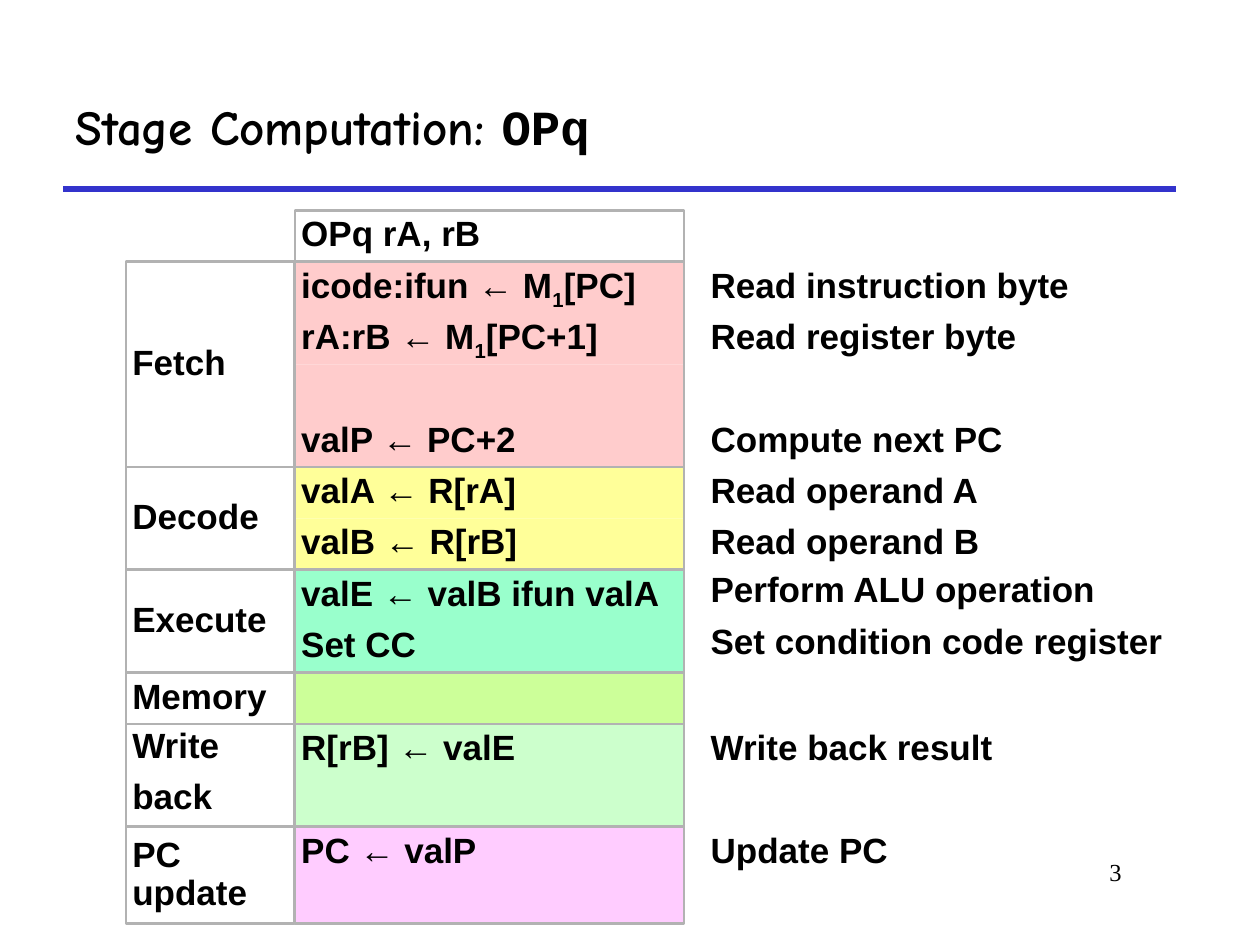
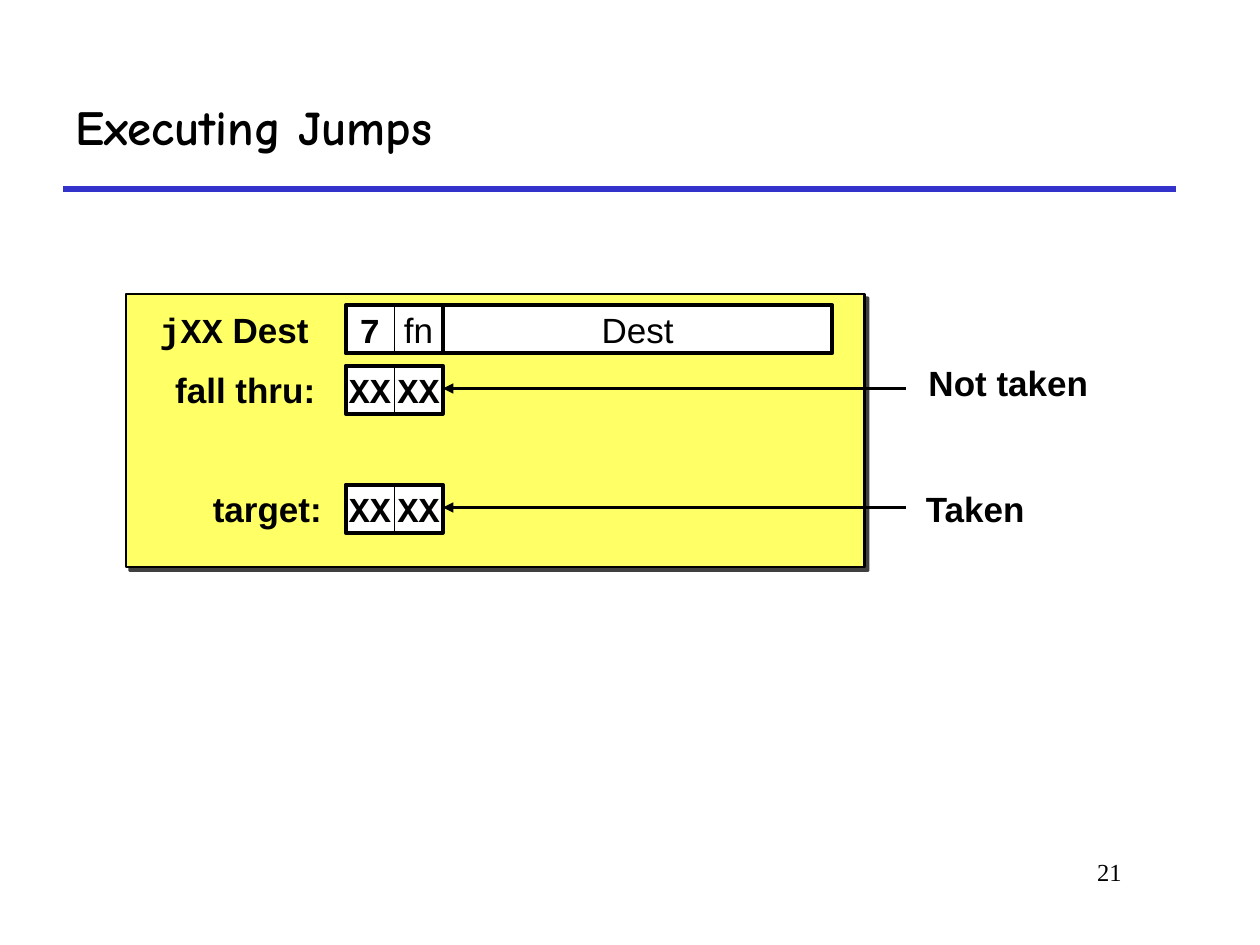
from dataclasses import dataclass

from lxml.etree import SubElement
from pptx import Presentation
from pptx.dml.color import RGBColor
from pptx.enum.shapes import MSO_CONNECTOR, MSO_SHAPE
from pptx.enum.text import MSO_ANCHOR, PP_ALIGN
from pptx.oxml.ns import qn
from pptx.util import Pt

BLACK = RGBColor(0x00, 0x00, 0x00)
WHITE = RGBColor(0xFF, 0xFF, 0xFF)
RULE_BLUE = RGBColor(0x33, 0x33, 0xCC)
GRID_GRAY = RGBColor(0xB2, 0xB2, 0xB2)
FETCH_PINK = RGBColor(0xFF, 0xCC, 0xCC)
DECODE_YELLOW = RGBColor(0xFF, 0xFF, 0x99)
EXECUTE_TEAL = RGBColor(0x99, 0xFF, 0xCC)
MEMORY_LIME = RGBColor(0xCC, 0xFF, 0x99)
WRITE_GREEN = RGBColor(0xCC, 0xFF, 0xCC)
UPDATE_VIOLET = RGBColor(0xFF, 0xCC, 0xFF)
PANEL_YELLOW = RGBColor(0xFF, 0xFF, 0x66)

BODY = "Arial"
TITLE = "Comic Neue"
MONO = "Courier New"
NUMBER = "Times New Roman"

ROW = 29.34
NAME_W = 96.5
CODE_W = 222.5
NOTE_X = 330.5
BYTE_W = 27.8
BYTE_H = 27.4
SUB = ("1", {"baseline": -25000})


@dataclass
class Stage:
    """One stage: its name, colour and rows of code and note."""
    name: str
    fill: RGBColor
    rows: list
    row_height: float = ROW
    name_spacing: float = 0.9
    note_spacing: float = 0.9
    note_width: float = CODE_W


STAGES = [
    Stage("Fetch", FETCH_PINK, [
        (["icode:ifun ← M", SUB, "[PC]"], "Read instruction byte"),
        (["rA:rB ← M", SUB, "[PC+1]"], "Read register byte"),
        ("", ""),
        ("valP ← PC+2", "Compute next PC")]),
    Stage("Decode", DECODE_YELLOW, [
        ("valA ← R[rA]", "Read operand A"),
        ("valB ← R[rB]", "Read operand B")]),
    Stage("Execute", EXECUTE_TEAL, [
        ("valE ← valB ifun valA", "Perform ALU operation"),
        ("Set CC", "Set condition code register")],
        note_spacing=0.8, note_width=280),
    Stage("Memory", MEMORY_LIME, [("", "")]),
    Stage("Write\nback", WRITE_GREEN, [
        ("R[rB] ← valE", "Write back result"), ("", "")], name_spacing=0.7),
    Stage("PC update", UPDATE_VIOLET, [("PC ← valP", "Update PC")],
          row_height=55.4),
]


def write(sp, text, size=20, font=BODY, bold=True, align=PP_ALIGN.LEFT,
          anchor=MSO_ANCHOR.TOP, spacing=None, inset=(7.2, 3.6), wrap=True):
    """Fill a shape with text given as a string or a list of runs."""
    tf = sp.text_frame
    tf.word_wrap = wrap
    tf.vertical_anchor = anchor
    tf.margin_left = tf.margin_right = Pt(inset[0])
    tf.margin_top = tf.margin_bottom = Pt(inset[1])
    lines = [[part] for part in text.split("\n")] if isinstance(text, str) else [text]
    for i, runs in enumerate(lines):
        p = tf.add_paragraph() if i else tf.paragraphs[0]
        p.alignment = align
        if spacing:
            p.line_spacing = spacing
        if i:
            p.space_before = Pt(12.5)
        for run in runs:
            words, change = (run, {}) if isinstance(run, str) else run
            r = p.add_run()
            r.text = words
            r.font.size = Pt(size)
            r.font.bold = bold
            r.font.name = change.get("font", font)
            r.font.color.rgb = BLACK
            if "baseline" in change:
                r._r.get_or_add_rPr().set("baseline", str(change["baseline"]))


def add_text(s, x, y, w, h, text, **fmt):
    """Add a text box."""
    write(s.shapes.add_textbox(Pt(x), Pt(y), Pt(w), Pt(h)), text, **fmt)


def add_box(s, x, y, w, h, fill=None, line=None, weight=1.5, text="", **fmt):
    """Add a rectangle with optional fill, outline and text."""
    sp = s.shapes.add_shape(MSO_SHAPE.RECTANGLE, Pt(x), Pt(y), Pt(w), Pt(h))
    sp.shadow.inherit = False
    if fill is None:
        sp.fill.background()
    else:
        sp.fill.solid()
        sp.fill.fore_color.rgb = fill
    if line is None:
        sp.line.fill.background()
    else:
        sp.line.color.rgb = line
        sp.line.width = Pt(weight)
    if text:
        write(sp, text, **fmt)
    return sp


def add_line(s, x1, y1, x2, y2, color=BLACK, weight=1.5, arrow=False):
    """Add a straight line, with an arrowhead at its end if asked."""
    cx = s.shapes.add_connector(MSO_CONNECTOR.STRAIGHT, Pt(x1), Pt(y1), Pt(x2), Pt(y2))
    cx.line.color.rgb = color
    cx.line.width = Pt(weight)
    if arrow:
        SubElement(cx.line._get_or_add_ln(), qn("a:tailEnd"), type="triangle")
    SubElement(cx._element.spPr, qn("a:effectLst"))


def add_shadow(sp):
    """Give a shape a hard dark shadow to the lower right."""
    effects = sp._element.spPr.find(qn("a:effectLst"))
    shadow = SubElement(effects, qn("a:outerShdw"), blurRad="0", dist=str(Pt(3)),
                        dir="2700000", algn="tl", rotWithShape="0")
    color = SubElement(shadow, qn("a:srgbClr"), val=str(BLACK))
    SubElement(color, qn("a:alpha"), val="75000")


def add_frame(prs, title, number):
    """Start a slide with its title, rule and page number."""
    s = prs.slides.add_slide(prs.slide_layouts[6])
    add_line(s, 36, 108, 672, 108, color=RULE_BLUE, weight=3)
    add_text(s, 546, 486, 102, 36, number, size=14, font=NUMBER, bold=False,
             align=PP_ALIGN.RIGHT)
    add_text(s, 36, 36, 636, 72, title, size=28, font=TITLE, anchor=MSO_ANCHOR.MIDDLE)
    return s


def stage_grid(s, x, y, heading, stages):
    """Stack the stages under a heading, with notes at the right."""
    tight = {"inset": (3.6, 3.6)}
    code_x = x + NAME_W
    add_box(s, code_x, y, CODE_W, ROW, line=GRID_GRAY, text=heading, spacing=0.9, **tight)
    y += ROW
    for stage in stages:
        step = stage.row_height
        height = step * len(stage.rows)
        single = len(stage.rows) == 1
        for i, (code, note) in enumerate(stage.rows):
            row_y = y + i * step
            add_box(s, code_x, row_y, CODE_W, step, fill=stage.fill,
                    line=GRID_GRAY if single else None, text=code,
                    spacing=0.9 if isinstance(code, str) else 0.8, **tight)
            if note:
                add_text(s, x + NOTE_X, row_y, stage.note_width, step, note,
                         spacing=stage.note_spacing, **tight)
        if not single:
            add_box(s, code_x, y, CODE_W, height, line=GRID_GRAY)
        add_box(s, x, y, NAME_W, height, line=GRID_GRAY, text=stage.name,
                anchor=MSO_ANCHOR.MIDDLE, spacing=stage.name_spacing, **tight)
        y += height


def byte_pair(s, x, y, halves):
    """Draw the two halves of a byte within a heavy outline."""
    for i, (text, fmt) in enumerate(halves):
        add_box(s, x + i * BYTE_W, y, BYTE_W, BYTE_H, fill=WHITE, line=BLACK, weight=0.5,
                text=text, align=PP_ALIGN.CENTER, anchor=MSO_ANCHOR.MIDDLE,
                wrap=False, **fmt)
    add_box(s, x, y, 2 * BYTE_W, BYTE_H, line=BLACK, weight=2.25)


def jump_panel(s, x, y):
    """Draw the jump encoding and the two places it can lead to."""
    add_shadow(add_box(s, x, y, 422, 156, fill=PANEL_YELLOW, line=BLACK))
    byte_x = x + 125.5
    mono = {"font": MONO}
    unknown = [("XX", mono)] * 2
    rows = [
        (6.5, 12.2, [("jXX", mono), " Dest"], [("7", mono), ("fn", {"bold": False})]),
        (41, 21, "fall thru:", unknown),
        (109, 42.5, "target:", unknown),
    ]
    for dy, label_dx, label, halves in rows:
        add_text(s, x + label_dx, y + dy, 101.5, BYTE_H, label, anchor=MSO_ANCHOR.MIDDLE)
        byte_pair(s, byte_x, y + dy, halves)
    add_box(s, byte_x + 2 * BYTE_W, y + 6.5, CODE_W, BYTE_H, fill=WHITE, line=BLACK,
            weight=2.25, text="Dest", bold=False, align=PP_ALIGN.CENTER,
            anchor=MSO_ANCHOR.MIDDLE)
    outcomes = [(54, 37.5, 455, 98.6, "Not taken"), (122, 110, 453.5, 65.5, "Taken")]
    for arrow_dy, dy, dx, width, text in outcomes:
        add_line(s, x + 445.5, y + arrow_dy, byte_x + 2 * BYTE_W, y + arrow_dy, arrow=True)
        add_text(s, x + dx, y + dy, width, 28.8, text, spacing=0.9, inset=(3.6, 3.6),
                 wrap=False)


def main():
    """Build both slides and save them."""
    prs = Presentation()
    prs.slide_width, prs.slide_height = Pt(720), Pt(540)
    s = add_frame(prs, ["Stage Computation: ", ("OPq", {"font": MONO})], "3")
    stage_grid(s, 72, 120.25, "OPq rA, rB", STAGES)
    s = add_frame(prs, "Executing Jumps", "21")
    jump_panel(s, 72, 168)
    prs.save("out.pptx")


if __name__ == "__main__":
    main()
